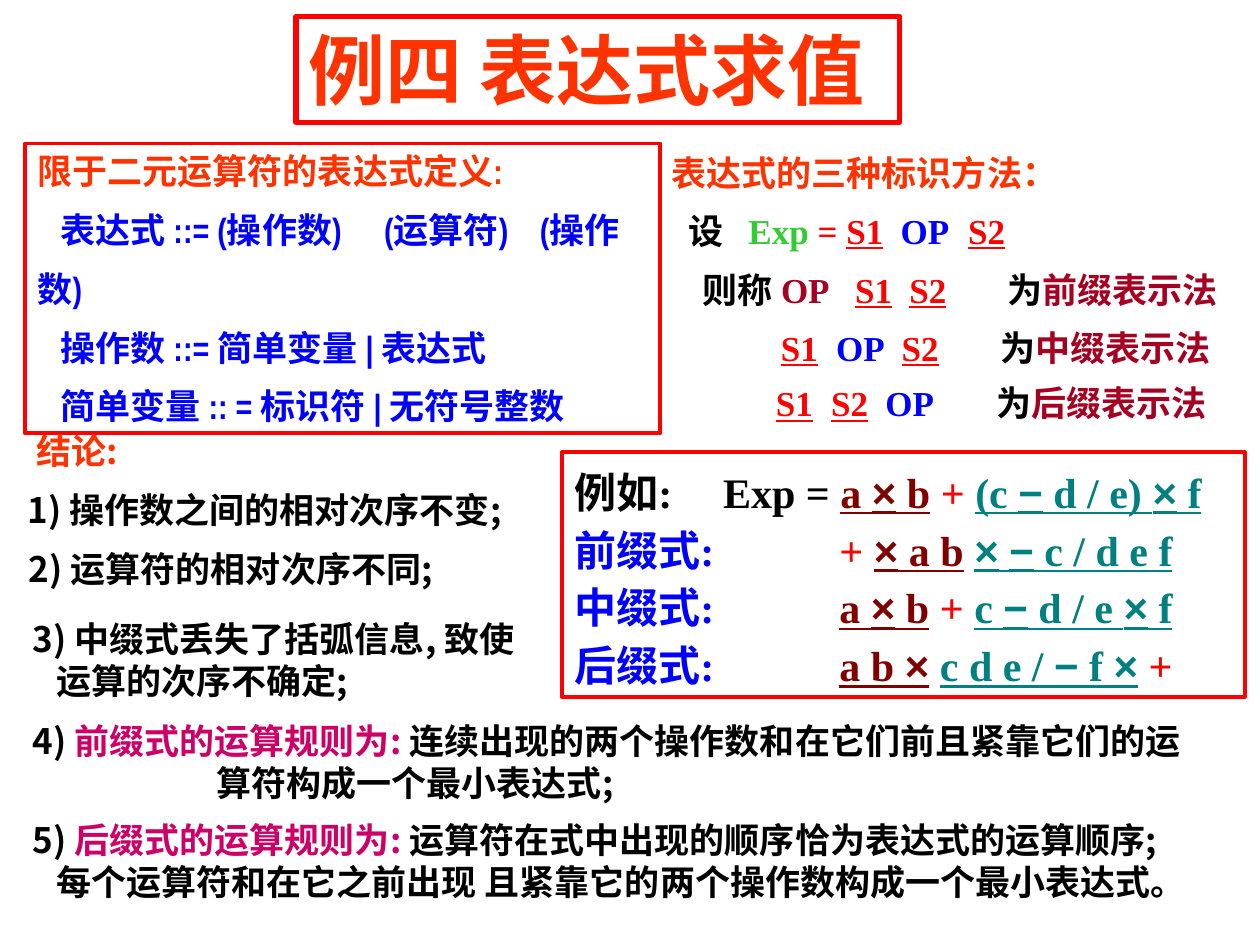
from dataclasses import dataclass
from itertools import groupby

from lxml.etree import SubElement
from pptx import Presentation
from pptx.dml.color import RGBColor
from pptx.enum.shapes import MSO_SHAPE
from pptx.enum.text import MSO_ANCHOR, MSO_AUTO_SIZE as AutoSize, PP_ALIGN
from pptx.oxml.ns import qn
from pptx.util import Pt


@dataclass(frozen=True)
class Theme:
    heading: str = "FF3300"
    black: str = "000000"
    blue: str = "0000FF"
    red: str = "FF0000"
    green: str = "33CC33"
    crimson: str = "A50021"
    magenta: str = "CC0066"
    maroon: str = "800000"
    teal: str = "008080"
    title_size: int = 44
    example_size: int = 24
    body_size: int = 20
    sans: str = "Noto Sans CJK SC"
    serif: str = "Times New Roman"
    narrow: str = "Arial Narrow"
    symbol: str = "Arial"


theme = Theme()


@dataclass
class Line:
    """Spans are (text, colour) or (text, colour, underlined); lengths in points.

    A line has an indent or tabs, not both: LibreOffice drops the tab stops
    of a paragraph that sets its own first-line indent.
    """
    spans: list
    indent: float = 0
    tabs: tuple = ()
    spacing: float = 1.0


@dataclass
class Box:
    left: float
    top: float
    width: float
    height: float
    lines: list
    font: str = theme.sans
    size: int = theme.body_size
    border: float = 0
    wrap: bool = False


def add_line(para, line, font_name, size):
    """Write one line; the multiplication and minus signs get the symbol font."""
    para.alignment = PP_ALIGN.LEFT
    para.line_spacing = line.spacing
    properties = para._p.get_or_add_pPr()
    if line.indent:
        properties.set("marL", "0")
        properties.set("indent", str(Pt(line.indent)))
    if line.tabs:
        stops = SubElement(properties, qn("a:tabLst"))
        for position in line.tabs:
            SubElement(stops, qn("a:tab"), pos=str(Pt(position)), algn="l")
    for text, colour, *underlined in line.spans:
        for is_symbol, letters in groupby(text, lambda letter: letter in "×−"):
            span = para.add_run()
            span.text = "".join(letters)
            span.font.name = theme.symbol if is_symbol else font_name
            span.font.size = Pt(size)
            span.font.bold = True
            span.font.underline = bool(underlined)
            span.font.color.rgb = RGBColor.from_string(colour)


s1 = ("S1", theme.red, True)
s2 = ("S2", theme.red, True)
op = ("OP", theme.blue)
tab = ("\t", theme.black)
space = (" ", theme.black)
plus = ("+", theme.red)

definitions = [
    Line([("限于二元运算符的表达式定义:", theme.heading)]),
    Line([tab, ("表达式 ::= (操作数)\t(运算符)\t(操作数)", theme.blue)],
         tabs=(13, 198, 287), spacing=1.4),
    Line([("操作数 ::= 简单变量 | 表达式", theme.blue)], 13, spacing=1.4),
    Line([("简单变量 :: = 标识符 | 无符号整数", theme.blue)], 13, spacing=1.4),
]

formulas = [
    ("前缀式:", [plus, space, ("× a b", theme.maroon, True), space,
              ("× − c / d e f", theme.teal, True)]),
    ("中缀式:", [("a × b", theme.maroon, True), space, plus, space,
              ("c − d / e × f", theme.teal, True)]),
    ("后缀式:", [("a b ×", theme.maroon, True), space,
              ("c d e / − f ×", theme.teal, True), space, plus]),
]
examples = [Line([("例如:\tExp = ", theme.black), ("a × b", theme.maroon, True), space,
                  plus, space, ("(c − d / e) × f", theme.teal, True)], 0, (85,), 1.15)]
for label, formula in formulas:
    examples.append(Line([(label, theme.blue), tab, *formula], 0, (151.5,), 1.15))

boxes = [
    Box(14.4, 82, 363, 165.6, definitions, theme.narrow, border=2.25, wrap=True),
    Box(169.2, 9.4, 344.9, 60.5, [Line([("例四 表达式求值", theme.heading)])],
        size=theme.title_size, border=3),
    Box(372.2, 82.8, 244.8, 31.7, [Line([("表达式的三种标识方法：", theme.heading)], 4.5)]),
    Box(386.6, 116, 205.2, 31.7,
        [Line([("设", theme.black), tab, ("Exp", theme.green), (" = ", theme.red),
               s1, tab, op, tab, s2], 0, (34, 121, 159.5))], theme.serif, wrap=True),
    Box(394.6, 149.8, 311.8, 55.4,
        [Line([("则称 ", theme.black), ("OP", theme.crimson), tab, s1, tab, s2, tab,
               ("为", theme.black), ("前缀表示法", theme.crimson)], 0, (87, 118, 174))],
        theme.serif, wrap=True),
    Box(439.2, 182.9, 280.8, 31.7,
        [Line([s1, tab, op, tab, s2, tab, ("为", theme.black),
               ("中缀表示法", theme.crimson)], 0, (31.5, 69, 125.5))],
        theme.serif, wrap=True),
    Box(436.3, 214.6, 274.3, 31.7,
        [Line([s1, tab, s2, tab, op, tab, ("为", theme.black),
               ("后缀表示法", theme.crimson)], 0, (31.5, 62.5, 126))],
        theme.serif, wrap=True),
    Box(321.1, 258.5, 390.2, 139.7, examples, theme.serif, theme.example_size, 2.25,
        wrap=True),
    Box(13.7, 241.9, 65.5, 31.7, [Line([("结论:", theme.heading)])]),
    Box(8.6, 275.8, 304.6, 31.7, [Line([("1) 操作数之间的相对次序不变;", theme.black)])]),
    Box(9.4, 309.6, 264.2, 31.7, [Line([("2) 运算符的相对次序不同;", theme.black)])]),
    Box(11.5, 349.2, 309, 55.4,
        [Line([("3) 中缀式丢失了括弧信息, 致使", theme.black)]),
         Line([("运算的次序不确定;", theme.black)], 13.5)], wrap=True),
    Box(11.5, 407.5, 694.8, 55.4,
        [Line([("4) ", theme.black), ("前缀式的运算规则为: ", theme.magenta),
               ("连续出现的两个操作数和在它们前且紧靠它们的运", theme.black)]),
         Line([("算符构成一个最小表达式;", theme.black)], 105)], wrap=True),
    Box(11.5, 464.4, 708, 55.4,
        [Line([("5) ", theme.black), ("后缀式的运算规则为: ", theme.magenta),
               ("运算符在式中出现的顺序恰为表达式的运算顺序;", theme.black)]),
         Line([("每个运算符和在它之前出现 且紧靠它的两个操作数构成一个最小表达式。",
                theme.black)], 13.5)], wrap=True),
]

deck = Presentation()
deck.slide_width, deck.slide_height = Pt(720), Pt(540)
slide = deck.slides.add_slide(deck.slide_layouts[6])

for box in boxes:
    bounds = [Pt(length) for length in (box.left, box.top, box.width, box.height)]
    if box.border:
        shape = slide.shapes.add_shape(MSO_SHAPE.RECTANGLE, *bounds)
        shape.shadow.inherit = False
        shape.fill.background()
        shape.line.color.rgb = RGBColor.from_string(theme.red)
        shape.line.width = Pt(box.border)
    else:
        shape = slide.shapes.add_textbox(*bounds)
    frame = shape.text_frame
    frame.word_wrap = box.wrap
    frame.auto_size = AutoSize.SHAPE_TO_FIT_TEXT
    frame.vertical_anchor = MSO_ANCHOR.TOP
    for index, line in enumerate(box.lines):
        para = frame.add_paragraph() if index else frame.paragraphs[0]
        add_line(para, line, box.font, box.size)

deck.save("out.pptx")
